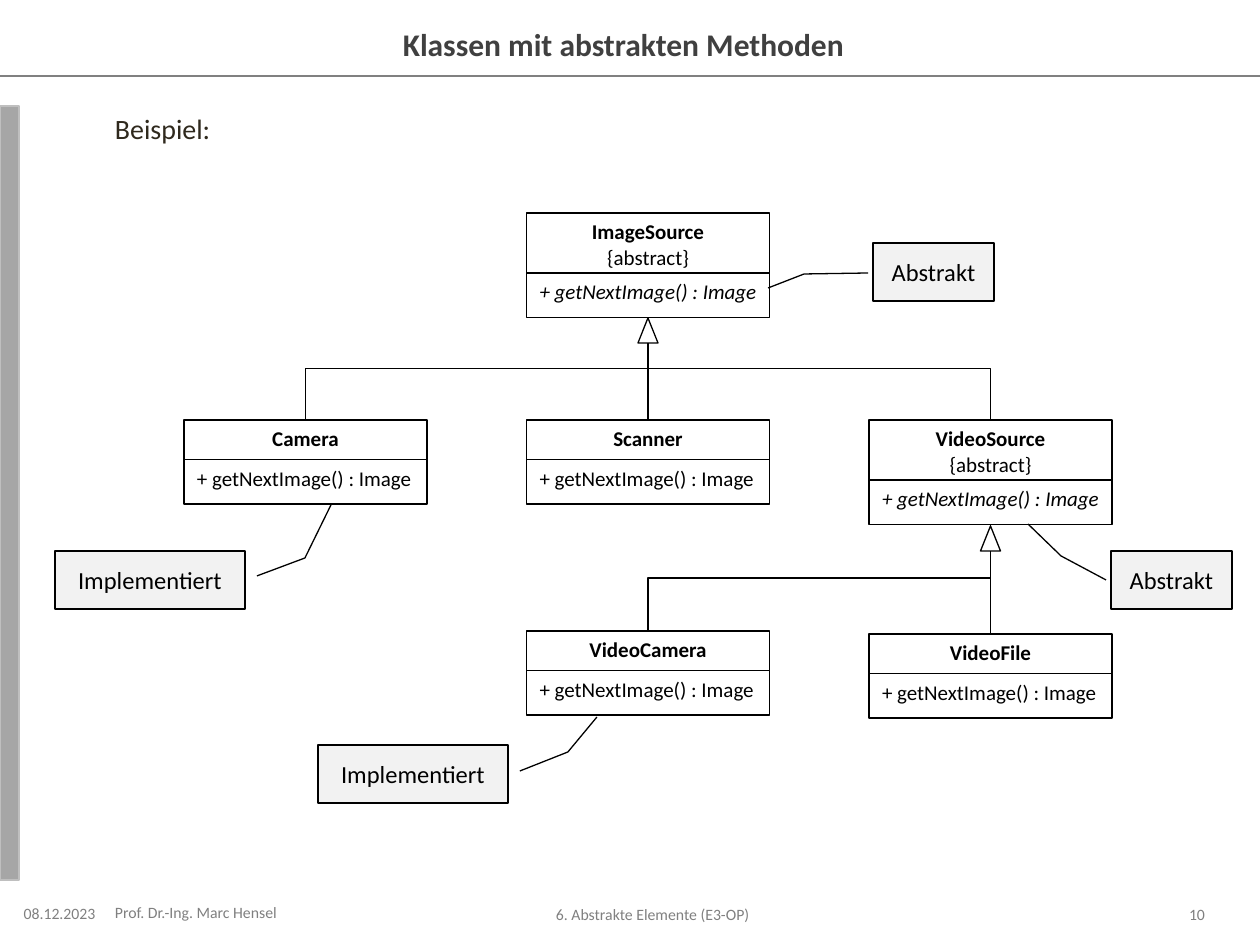
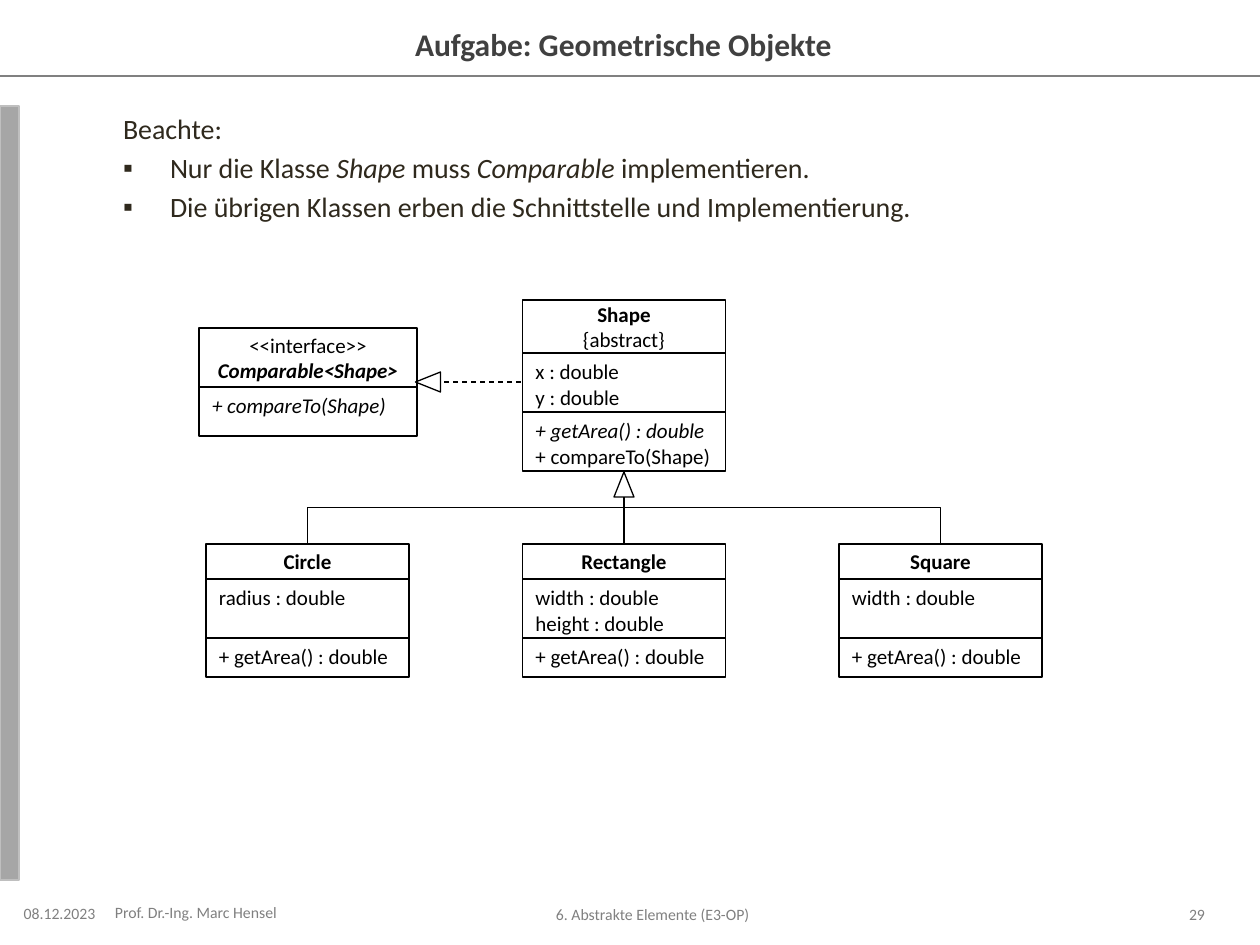
from lxml.etree import SubElement
from pptx import Presentation
from pptx.dml.color import RGBColor
from pptx.enum.dml import MSO_LINE
from pptx.enum.shapes import MSO_CONNECTOR, MSO_SHAPE
from pptx.enum.text import MSO_ANCHOR, MSO_AUTO_SIZE, PP_ALIGN
from pptx.oxml.ns import qn
from pptx.util import Emu, Inches, Pt

PX_PER_INCH = 126
FONT = "Calibri"
BLACK = RGBColor(0x00, 0x00, 0x00)
WHITE = RGBColor(0xFF, 0xFF, 0xFF)
TITLE_GRAY = RGBColor(0x40, 0x40, 0x40)
BODY_BROWN = RGBColor(0x2F, 0x29, 0x1D)
RULE_GRAY = RGBColor(0x80, 0x80, 0x80)
BAND_FILL = RGBColor(0xA6, 0xA6, 0xA6)
BAND_LINE = RGBColor(0xBF, 0xBF, 0xBF)
CALLOUT_FILL = RGBColor(0xF2, 0xF2, 0xF2)

BOLD, ITALIC = "b", "i"
LEFT, CENTER, RIGHT = PP_ALIGN.LEFT, PP_ALIGN.CENTER, PP_ALIGN.RIGHT
TOP, MIDDLE = MSO_ANCHOR.TOP, MSO_ANCHOR.MIDDLE
INSET_X, INSET_Y = 13, 6
HEAD_WIDTH, HEAD_HEIGHT = 20, 25


def px(length):
    return Emu(round(length * 914400 / PX_PER_INCH))


class Diagram:
    """Draws class diagrams on the current slide of a deck."""

    def __init__(self, deck):
        self.deck = deck
        self.page = None
        self.name_anchor = TOP

    def start(self, title, number, name_anchor):
        self.page = self.deck.slides.add_slide(self.deck.slide_layouts[1])
        self.name_anchor = name_anchor
        self.line((0, 76), (1260, 76), RULE_GRAY)
        self.shape(MSO_SHAPE.RECTANGLE, (0, 106, 19, 774), BAND_FILL, BAND_LINE)
        heading = self.place(self.page.shapes.title, (156, 19, 948, 49))
        self.frame(heading, MIDDLE, left=0)
        self.add_spans(heading.text_frame.paragraphs[0], [(title, BOLD)], 18,
                       TITLE_GRAY, CENTER)
        self.footer((19, 903, 94, 20), "08.12.2023", CENTER)
        self.footer((115, 903, 189, 19), "Prof. Dr.-Ing. Marc Hensel", LEFT)
        self.footer((312, 905, 694, 19), "6. Abstrakte Elemente (E3-OP)", CENTER)
        self.footer((1124, 905, 81, 19), number, RIGHT)

    def place(self, box, area):
        box.left, box.top, box.width, box.height = map(px, area)
        return box

    def frame(self, box, anchor, left=INSET_X, right=INSET_X):
        frame = box.text_frame
        frame.word_wrap = True
        frame.auto_size = MSO_AUTO_SIZE.NONE
        frame.vertical_anchor = anchor
        frame.margin_left, frame.margin_right = px(left), px(right)
        frame.margin_top = frame.margin_bottom = px(INSET_Y)

    def add_spans(self, para, spans, size, color, align):
        para.alignment = align
        for text, style in spans:
            span = para.add_run()
            span.text = text
            span.font.name, span.font.size = FONT, Pt(size)
            span.font.bold, span.font.italic = BOLD in style, ITALIC in style
            span.font.color.rgb = color

    def paragraphs(self, box, count):
        frame = box.text_frame
        for _ in range(count - 1):
            frame.add_paragraph()
        return frame.paragraphs

    def footer(self, area, text, align):
        box = self.page.shapes.add_textbox(*map(px, area))
        left, right = (INSET_X, 0) if align == RIGHT else (0, INSET_X)
        self.frame(box, MIDDLE, left, right)
        self.add_spans(box.text_frame.paragraphs[0], [(text, "")], 9, RULE_GRAY,
                       align)

    def body(self, items, margin):
        """Fills the body with (bulleted, spans) items."""
        box = self.place(self.page.placeholders[1], (115, 106, 1091, 774))
        self.frame(box, TOP, left=0)
        for para, (bulleted, spans) in zip(self.paragraphs(box, len(items)), items):
            self.add_spans(para, spans, 16, BODY_BROWN, LEFT)
            para.space_before = Pt(3)
            properties = para._p.get_or_add_pPr()
            properties.set("marL", str(px(margin)))
            properties.set("indent", str(px(-47)))
            if bulleted:
                SubElement(properties, qn("a:buFont")).set("typeface", "Arial")
                SubElement(properties, qn("a:buChar")).set("char", "▪")
            else:
                SubElement(properties, qn("a:buNone"))

    def shape(self, kind, area, fill=WHITE, line=BLACK):
        box = self.page.shapes.add_shape(kind, *map(px, area))
        box.shadow.inherit = False
        box.fill.solid()
        box.fill.fore_color.rgb = fill
        box.line.color.rgb = line
        box.line.width = Pt(0.75)
        return box

    def line(self, start, end, color=BLACK, kind=MSO_CONNECTOR.STRAIGHT):
        connector = self.page.shapes.add_connector(kind, *map(px, start + end))
        connector.line.color.rgb = color
        connector.line.width = Pt(0.75)
        SubElement(connector._element.spPr, qn("a:effectLst"))
        return connector

    def elbow(self, child, parent):
        """Joins two points by a line that leaves and arrives vertically."""
        (x1, y1), (x2, y2) = child, parent
        middle_x, middle_y = (x1 + x2) / 2, (y1 + y2) / 2
        side = 1 if x1 < x2 else -1
        half_rise, half_span = side * (y1 - y2) / 2, abs(x2 - x1) / 2
        connector = self.line((middle_x + half_rise, middle_y + half_span),
                              (middle_x - half_rise, middle_y - half_span),
                              kind=MSO_CONNECTOR.ELBOW)
        quarter_turns = 1 if side == 1 else 3
        connector._element.spPr.find(qn("a:xfrm")).set(
            "rot", str(quarter_turns * 90 * 60000))

    def arrowhead(self, center, rotation=0):
        x, y = center
        head = self.shape(MSO_SHAPE.ISOSCELES_TRIANGLE,
                          (x - HEAD_WIDTH / 2, y - HEAD_HEIGHT / 2,
                           HEAD_WIDTH, HEAD_HEIGHT))
        head.rotation = rotation

    def inheritance(self, parent, children):
        for child in children:
            if child[0] == parent[0]:
                self.line(child, parent)
            else:
                self.elbow(child, parent)
        self.arrowhead((parent[0], parent[1] + HEAD_HEIGHT / 2 + 1))

    def class_box(self, left, top, width, *compartments):
        """Stacks (height, lines) compartments; the first holds the name."""
        for index, (height, lines) in enumerate(compartments):
            box = self.shape(MSO_SHAPE.RECTANGLE, (left, top, width, height))
            if index == 0:
                align = CENTER
                self.frame(box, self.name_anchor)
            else:
                align = LEFT
                self.frame(box, TOP, right=0)
            for para, line in zip(self.paragraphs(box, len(lines)), lines):
                self.add_spans(para, [line], 12, BLACK, align)
            top += height

    def callout(self, area, text, *points):
        left, top, width, height = area
        box = self.shape(MSO_SHAPE.LINE_CALLOUT_2, area, CALLOUT_FILL)
        for index, (x, y) in enumerate(points):
            box.adjustments[2 * index] = (y - top) / height
            box.adjustments[2 * index + 1] = (x - left) / width
        self.frame(box, MIDDLE, 0, 0)
        self.add_spans(box.text_frame.paragraphs[0], [(text, "")], 14, BLACK,
                       CENTER)


def draw_image_sources(diagram):
    diagram.start("Klassen mit abstrakten Methoden", "10", TOP)
    diagram.body([(False, [("Beispiel:", "")])], 47)
    width = 243
    columns = [184 + 342.5 * index for index in range(3)]
    centers = [left + width / 2 for left in columns]
    classes = [("ImageSource", 1, 213, True), ("Camera", 0, 420, False),
               ("Scanner", 1, 420, False), ("VideoSource", 2, 420, True),
               ("VideoCamera", 1, 631, False), ("VideoFile", 2, 634, False)]
    for name, column, top, is_abstract in classes:
        header = [(name, BOLD)]
        if is_abstract:
            header.append(("{abstract}", ""))
        method = ("+ getNextImage() : Image", ITALIC if is_abstract else "")
        diagram.class_box(columns[column], top, width,
                          (60 if is_abstract else 39.5, header), (44.5, [method]))
    diagram.inheritance((centers[1], 317), [(x, 420) for x in centers])
    diagram.inheritance((centers[2], 525), [(centers[1], 631), (centers[2], 634)])

    diagram.callout((1111, 551, 121, 58), "Abstrakt",
                    (1106, 580), (1061, 556), (1028, 524))
    diagram.callout((55, 551, 190, 58), "Implementiert",
                    (257, 576), (305, 558), (331, 505))
    diagram.callout((318, 745, 190, 58), "Implementiert",
                    (520, 771), (568, 752), (597, 717))
    diagram.callout((873, 243, 121, 58), "Abstrakt",
                    (868, 273), (804, 274), (768, 288))


def draw_geometry(diagram):
    diagram.start("Aufgabe: Geometrische Objekte", "29", MIDDLE)
    diagram.body([
        (False, [("Beachte:", "")]),
        (True, [("Nur die Klasse ", ""), ("Shape", ITALIC), (" muss ", ""),
                ("Comparable", ITALIC), (" implementieren.", "")]),
        (True, [("Die übrigen Klassen erben die Schnittstelle und "
                 "Implementierung.", "")]),
    ], 55)
    width = 203
    columns = [206 + 316.5 * index for index in range(3)]
    centers = [left + width / 2 for left in columns]

    diagram.class_box(columns[1], 300, width,
                      (53, [("Shape", BOLD), ("{abstract}", "")]),
                      (59, [("x : double", ""), ("y : double", "")]),
                      (59, [("+ getArea() : double", ITALIC),
                            ("+ compareTo(Shape)", "")]))
    diagram.class_box(199, 328, 218,
                      (59, [("<<interface>>", ""),
                            ("Comparable<Shape>", BOLD + ITALIC)]),
                      (49, [("+ compareTo(Shape)", ITALIC)]))
    realization = diagram.line((417, 382), (columns[1], 382))
    realization.line.dash_style = MSO_LINE.DASH
    diagram.arrowhead((428, 382), 270)

    shapes = [("Circle", ["radius : double"]),
              ("Rectangle", ["width : double", "height : double"]),
              ("Square", ["width : double"])]
    for left, (name, attributes) in zip(columns, shapes):
        diagram.class_box(left, 544, width, (35, [(name, BOLD)]),
                          (59, [(text, "") for text in attributes]),
                          (39, [("+ getArea() : double", "")]))
    diagram.inheritance((centers[1], 471), [(x, 544) for x in centers])


def main():
    deck = Presentation()
    deck.slide_width, deck.slide_height = Inches(10), Inches(7.5)
    diagram = Diagram(deck)
    draw_image_sources(diagram)
    draw_geometry(diagram)
    deck.save("out.pptx")


if __name__ == "__main__":
    main()
